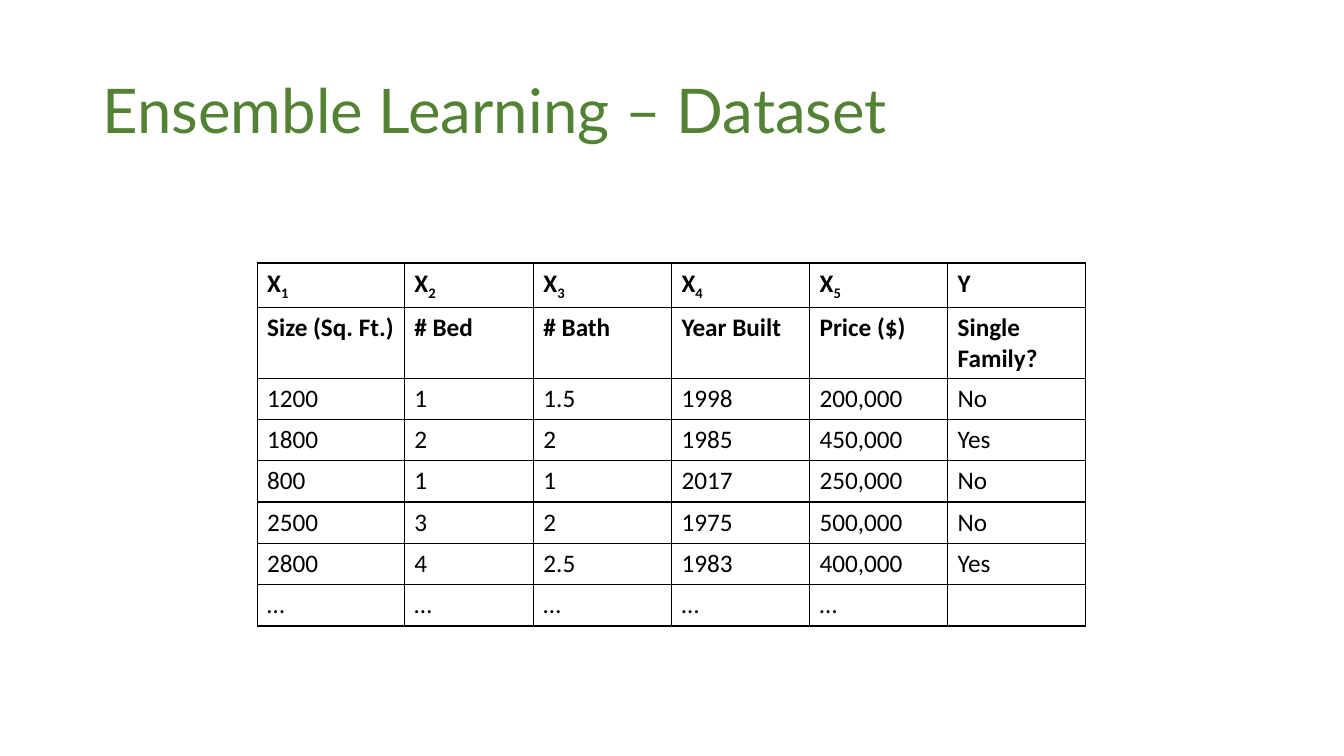
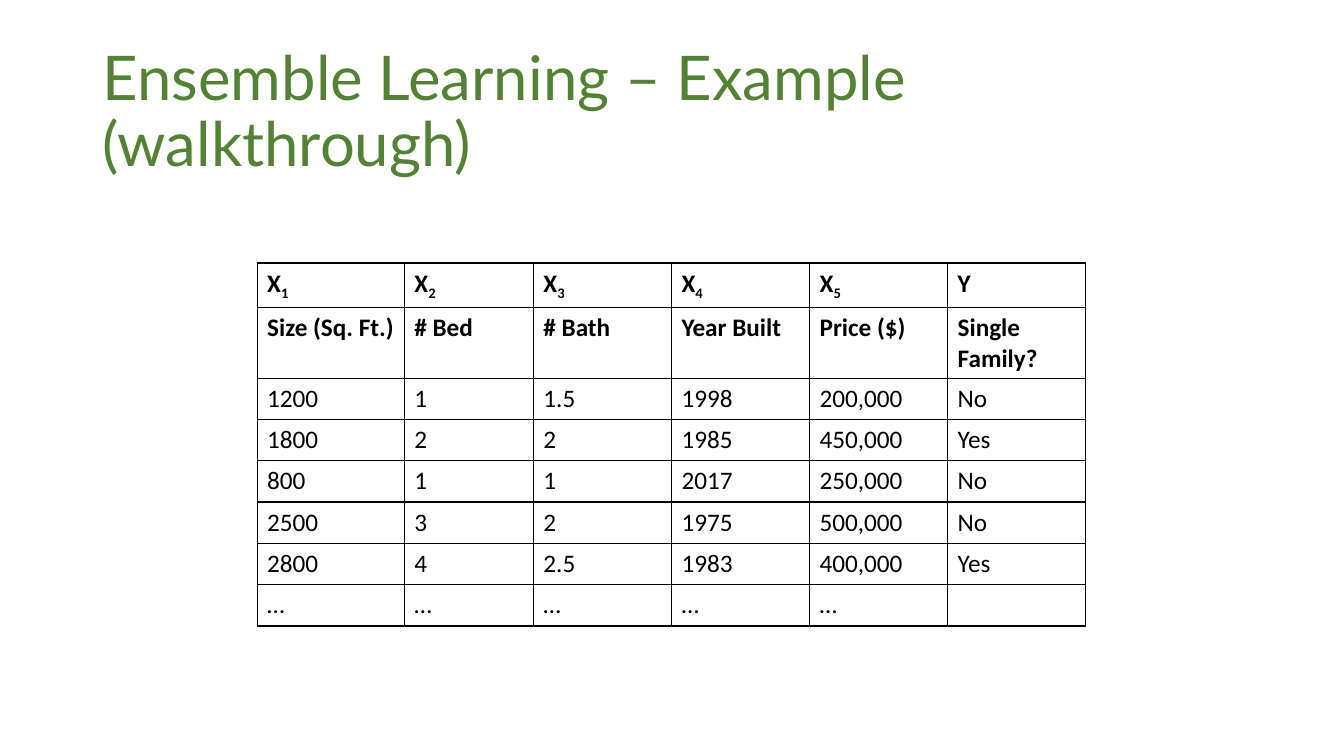
from pptx import Presentation
from pptx.dml.color import RGBColor
from pptx.enum import text
from pptx.oxml import parse_xml
from pptx.oxml.ns import nsdecls
from pptx.util import Inches, Pt

GREEN, BLACK, WHITE = "548235", "000000", "FFFFFF"
TITLE_BOX = (0.92, 0.4, 11.5, 1.45)
TABLE_CORNER = (2.55, 2.61)
COLUMN_WIDTHS = (1.46, 1.28, 1.37, 1.37, 1.37, 1.37)
ROW_HEIGHT = 0.41
TITLES = ("Ensemble Learning – Dataset", "Ensemble Learning – Example (walkthrough)")
# Each symbol is a letter and its subscript.
SYMBOLS = (("X", "1"), ("X", "2"), ("X", "3"), ("X", "4"), ("X", "5"), ("Y", ""))
HEADINGS = ("Size (Sq. Ft.)", "# Bed", "# Bath", "Year Built", "Price ($)", "Single Family?")
HOUSES = (
    ("1200", "1", "1.5", "1998", "200,000", "No"),
    ("1800", "2", "2", "1985", "450,000", "Yes"),
    ("800", "1", "1", "2017", "250,000", "No"),
    ("2500", "3", "2", "1975", "500,000", "No"),
    ("2800", "4", "2.5", "1983", "400,000", "Yes"),
    ("…", "…", "…", "…", "…", ""),
)


def color(hex_string):
    return RGBColor.from_string(hex_string)


def style_font(font, name, size, hex_string, bold=False):
    font.name, font.size, font.bold = name, Pt(size), bold
    font.color.rgb = color(hex_string)


def add_title(slide, title, box):
    shape = slide.shapes.add_textbox(*map(Inches, box))
    frame = shape.text_frame
    frame.word_wrap = True
    frame.vertical_anchor = text.MSO_ANCHOR.MIDDLE
    paragraph = frame.paragraphs[0]
    paragraph.text = title
    paragraph.line_spacing = 0.9
    style_font(paragraph.font, "Lato", 44, GREEN)


def add_borders(cell):
    """Draw a thin black line on all four sides of the cell."""
    properties = cell._tc.get_or_add_tcPr()
    for side in "LRTB":
        properties.append(parse_xml(
            f'<a:ln{side} {nsdecls("a")} w="{Pt(1)}"><a:solidFill>'
            f'<a:srgbClr val="{BLACK}"/></a:solidFill></a:ln{side}>'))


def fill_cell(cell, content, subscript="", bold=False):
    add_borders(cell)
    cell.fill.solid()
    cell.fill.fore_color.rgb = color(WHITE)
    paragraph = cell.text_frame.paragraphs[0]
    style_font(paragraph.font, "Calibri", 18, BLACK, bold)
    if content:
        paragraph.add_run().text = content
    if subscript:
        run = paragraph.add_run()
        run.text = subscript
        run.font._element.set("baseline", "-25000")


def add_house_table(slide, corner):
    rows = [SYMBOLS] + [[(value, "") for value in row] for row in (HEADINGS, *HOUSES)]
    left, top = corner
    table = slide.shapes.add_table(
        len(rows), len(COLUMN_WIDTHS), Inches(left), Inches(top),
        Inches(sum(COLUMN_WIDTHS)), Inches(ROW_HEIGHT * len(rows))).table
    table.first_row = table.horz_banding = False
    for column, width in zip(table.columns, COLUMN_WIDTHS):
        column.width = Inches(width)
    for row_index, row in enumerate(rows):
        for column_index, (content, subscript) in enumerate(row):
            fill_cell(table.cell(row_index, column_index), content, subscript,
                      bold=row_index < 2)


def main():
    presentation = Presentation()
    presentation.slide_width, presentation.slide_height = Inches(13.33), Inches(7.5)
    for title in TITLES:
        slide = presentation.slides.add_slide(presentation.slide_layouts[6])
        add_title(slide, title, TITLE_BOX)
        add_house_table(slide, TABLE_CORNER)
    presentation.save("out.pptx")


if __name__ == "__main__":
    main()
